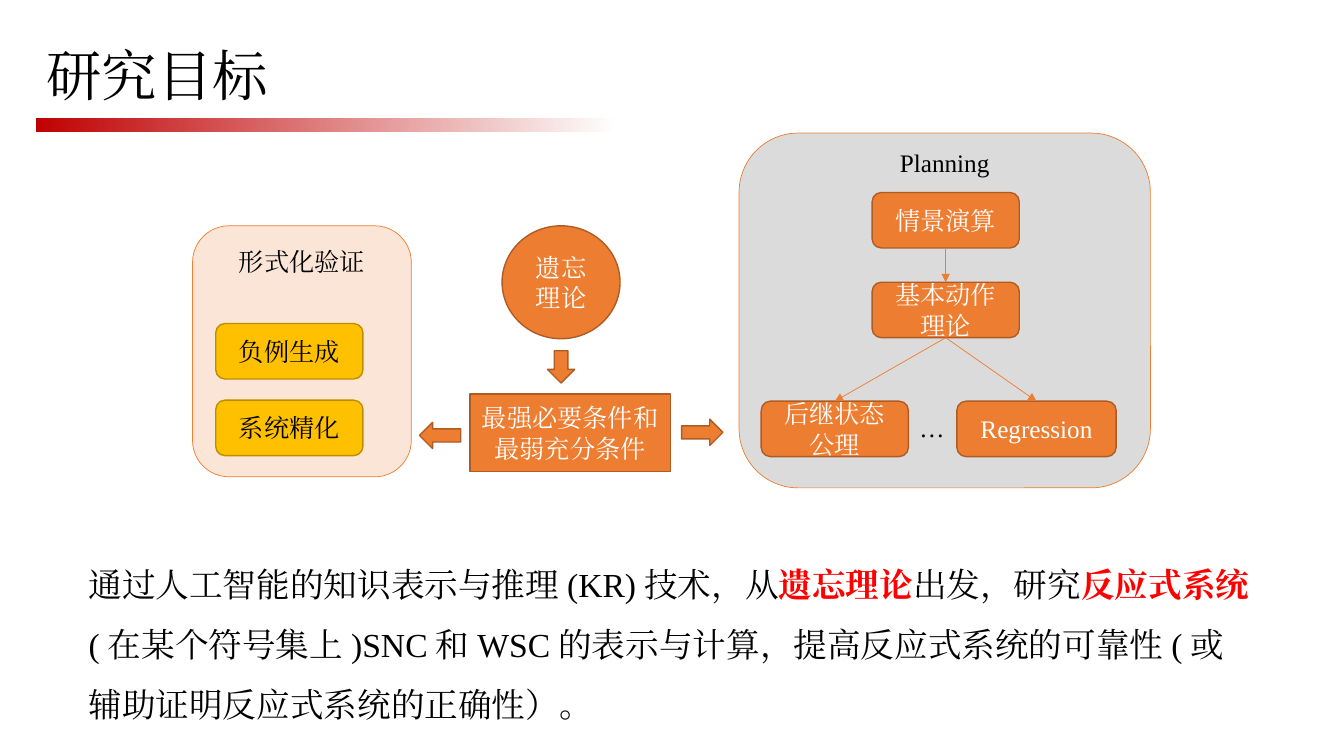
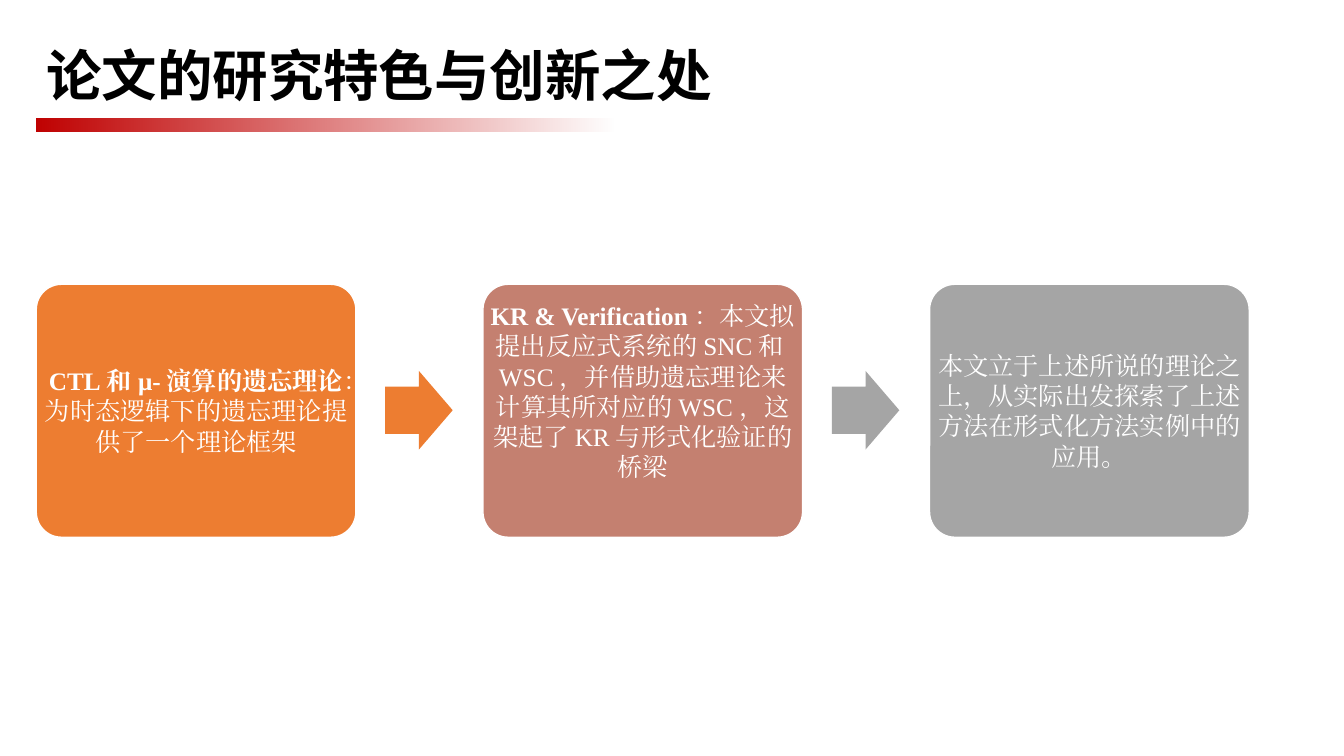
from lxml import etree
from pptx import Presentation
from pptx.dml.color import RGBColor
from pptx.enum import shapes, text
from pptx.enum.lang import MSO_LANGUAGE_ID
from pptx.oxml import ns
from pptx.util import Inches, Pt

BLACK = RGBColor(0x00, 0x00, 0x00)
WHITE = RGBColor(0xFF, 0xFF, 0xFF)
RED = RGBColor(0xFF, 0x00, 0x00)
DARK_RED = RGBColor(0xC0, 0x00, 0x00)
ORANGE = RGBColor(0xED, 0x7D, 0x31)
DARK_ORANGE = RGBColor(0xAF, 0x5C, 0x24)
PALE_ORANGE = RGBColor(0xFB, 0xE5, 0xD6)
YELLOW = RGBColor(0xFF, 0xC0, 0x00)
DARK_YELLOW = RGBColor(0xBD, 0x8E, 0x00)
ROSE = RGBColor(0xC4, 0x80, 0x70)
GREY = RGBColor(0xA5, 0xA5, 0xA5)
LIGHT_GREY = RGBColor(0xDB, 0xDB, 0xDB)

SERIF = "Times New Roman"
SANS = "Noto Sans CJK SC"
GEO = shapes.MSO_SHAPE
ALIGN = text.PP_ALIGN
ANCHOR = text.MSO_ANCHOR


def add_shape(slide, geometry, box, fill, line=None, width=1):
    shape = slide.shapes.add_shape(geometry, *map(Inches, box))
    shape.shadow.inherit = False
    shape.fill.solid()
    shape.fill.fore_color.rgb = fill
    if line is None:
        shape.line.fill.background()
    else:
        shape.line.color.rgb = line
        shape.line.width = Pt(width)
    return shape


def write(shape, *runs, size=18, font=SERIF, color=WHITE, bold=False, align=ALIGN.CENTER,
          anchor=ANCHOR.MIDDLE, spacing=None, wrap=True, top=0.05, side=0.1, bottom=0.05):
    """Fill one paragraph; a run is a string or a (string, bold, colour) tuple."""
    frame = shape.text_frame
    frame.word_wrap = wrap
    frame.vertical_anchor = anchor
    frame.margin_top, frame.margin_bottom = Inches(top), Inches(bottom)
    frame.margin_left = frame.margin_right = Inches(side)
    paragraph = frame.paragraphs[0]
    paragraph.alignment = align
    paragraph.line_spacing = spacing
    for item in runs:
        words, run_bold, run_color = (item, bold, color) if isinstance(item, str) else item
        run = paragraph.add_run()
        run.text = words
        run.font.size = Pt(size)
        run.font.name = font
        run.font.bold = run_bold
        run.font.color.rgb = run_color
        run.font.language_id = MSO_LANGUAGE_ID.SIMPLIFIED_CHINESE
        east_asian = etree.SubElement(run.font._element, ns.qn("a:ea"))
        east_asian.set("typeface", font)


prs = Presentation()
prs.slide_width, prs.slide_height = Inches(13.33), Inches(7.5)

# Titles over a red band that fades out to the right
slides = []
for heading, font, bold in [("研究目标", SERIF, False),
                            ("论文的研究特色与创新之处", SANS, True)]:
    slide = prs.slides.add_slide(prs.slide_layouts[6])
    band = add_shape(slide, GEO.RECTANGLE, (0.36, 1.18, 5.75, 0.12), DARK_RED)
    band.fill.gradient()
    band.fill.gradient_angle = 0
    for stop, position in zip(band.fill.gradient_stops, (0, 1)):
        stop.position = position
        stop.color.rgb = DARK_RED
    clear_end = band._element.spPr.findall(".//" + ns.qn("a:srgbClr"))[-1]
    etree.SubElement(clear_end, ns.qn("a:alpha")).set("val", "0")
    title = slide.shapes.add_textbox(*map(Inches, (0.36, 0.4, 12.62, 0.76)))
    write(title, heading, size=39.6, font=font, color=BLACK, bold=bold,
          align=ALIGN.LEFT, spacing=0.9)
    slides.append(slide)
goal, innovation = slides

# Research goal: panels
for label, box, fill, top in [("Planning", (7.33, 1.32, 4.08, 3.52), LIGHT_GREY, -0.03),
                              ("形式化验证", (1.91, 2.24, 2.17, 2.49), PALE_ORANGE, 0.1)]:
    panel = add_shape(goal, GEO.ROUNDED_RECTANGLE, box, fill, ORANGE, 0.5)
    write(panel, label, color=BLACK, anchor=ANCHOR.TOP, top=top)

# Research goal: planning tree
nodes = []
for label, left, top, width in [("情景演算", 8.65, 1.91, 1.46),
                                ("基本动作理论", 8.65, 2.8, 1.46),
                                ("后继状态公理", 7.55, 3.98, 1.46),
                                ("Regression", 9.49, 3.98, 1.58)]:
    node = add_shape(goal, GEO.ROUNDED_RECTANGLE, (left, top, width, 0.55), ORANGE, DARK_ORANGE)
    write(node, label)
    nodes.append(node)
calculus, action_theory, successor, regression = nodes

for parent, child in [(calculus, action_theory), (action_theory, successor),
                      (action_theory, regression)]:
    link = goal.shapes.add_connector(shapes.MSO_CONNECTOR.STRAIGHT, 0, 0, 0, 0)
    link.begin_connect(parent, 2)
    link.end_connect(child, 0)
    link.line.color.rgb = ORANGE
    link.line.width = Pt(0.5)
    etree.SubElement(link.line._get_or_add_ln(), ns.qn("a:tailEnd")).set("type", "triangle")
    etree.SubElement(link._element.spPr, ns.qn("a:effectLst"))

ellipsis = goal.shapes.add_textbox(*map(Inches, (9.02, 4.04, 0.38, 0.4)))
write(ellipsis, "…", color=BLACK, align=ALIGN.LEFT, anchor=ANCHOR.TOP, wrap=False)

# Research goal: theory, conditions and verification tasks
for label, geometry, box, fill, line, color in [
    ("遗忘理论", GEO.OVAL, (4.98, 2.24, 1.17, 1.12), ORANGE, DARK_ORANGE, WHITE),
    ("最强必要条件和最弱充分条件", GEO.RECTANGLE, (4.66, 3.91, 1.99, 0.77),
     ORANGE, DARK_ORANGE, WHITE),
    ("负例生成", GEO.ROUNDED_RECTANGLE, (2.14, 3.21, 1.46, 0.55), YELLOW, DARK_YELLOW, BLACK),
    ("系统精化", GEO.ROUNDED_RECTANGLE, (2.14, 3.97, 1.46, 0.55), YELLOW, DARK_YELLOW, BLACK),
]:
    write(add_shape(goal, geometry, box, fill, line), label, color=color)

for geometry, box, turn in [(GEO.DOWN_ARROW, (5.43, 3.48, 0.27, 0.32), 0),
                            (GEO.RIGHT_ARROW, (6.76, 4.16, 0.41, 0.26), 0),
                            (GEO.RIGHT_ARROW, (4.16, 4.19, 0.41, 0.26), 180)]:
    add_shape(goal, geometry, box, ORANGE, DARK_ORANGE).rotation = turn

summary = goal.shapes.add_textbox(*map(Inches, (0.78, 5.34, 11.78, 1.92)))
write(summary,
      "通过人工智能的知识表示与推理(KR)技术，从",
      ("遗忘理论", True, RED),
      "出发，研究",
      ("反应式系统", True, RED),
      "(在某个符号集上)SNC和WSC的表示与计算，提高反应式系统的可靠性(或辅助证明反应式系统的正确性）。",
      size=24, color=BLACK, align=ALIGN.LEFT, anchor=ANCHOR.TOP, spacing=1.5)

# Innovations: three steps joined by block arrows
STEP_LEFT, STEP_PITCH, ARROW_OFFSET = 0.36, 4.43, 3.46
steps = [
    (ORANGE, ORANGE, 0, "CTL和μ-演算的遗忘理论", "：为时态逻辑下的遗忘理论提供了一个理论框架"),
    (ROSE, GREY, 0.39, "KR & Verification",
     "：本文拟提出反应式系统的SNC和WSC，并借助遗忘理论来计算其所对应的WSC，"
     "这架起了KR与形式化验证的桥梁"),
    (GREY, None, 0, "",
     "本文立于上述所说的理论之上，从实际出发探索了上述方法在形式化方法实例中的应用。"),
]
for index, (fill, arrow_fill, bottom, lead, detail) in enumerate(steps):
    left = STEP_LEFT + index * STEP_PITCH
    step = add_shape(innovation, GEO.ROUNDED_RECTANGLE, (left, 2.82, 3.17, 2.51), fill, WHITE)
    step.adjustments[0] = 0.1
    runs = [(lead, True, WHITE), detail] if lead else [detail]
    write(step, *runs, top=0, side=0, bottom=bottom)
    if arrow_fill is not None:
        arrow = add_shape(innovation, GEO.RIGHT_ARROW,
                          (left + ARROW_OFFSET, 3.68, 0.67, 0.78), arrow_fill)
        arrow.adjustments[0] = 0.6
        arrow.adjustments[1] = 0.5

prs.save("out.pptx")
